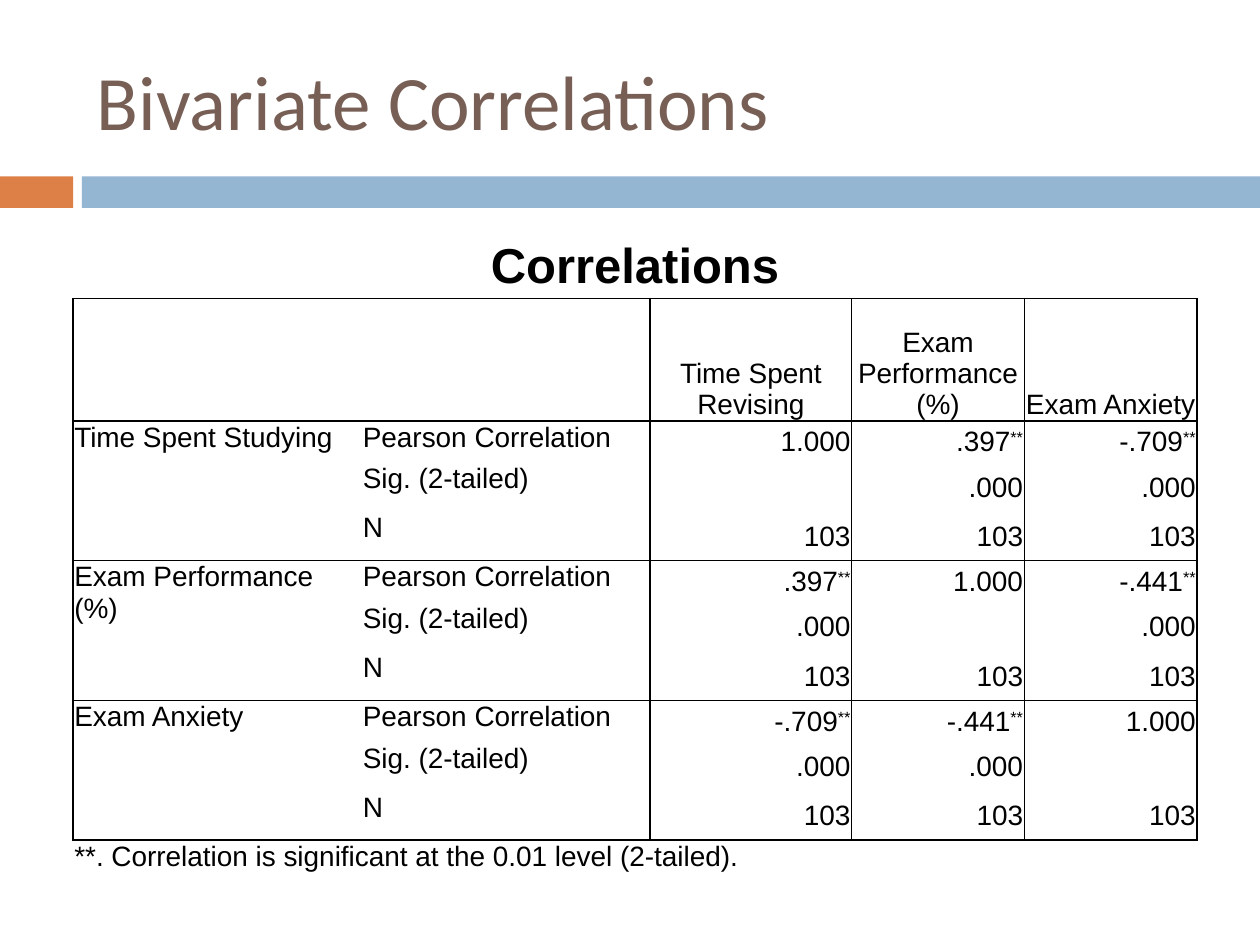
"""Build the Bivariate Correlations slide with its correlation table."""
from lxml import etree
from pptx import Presentation
from pptx import util as u
from pptx.dml import color
from pptx.enum import shapes, text
from pptx.oxml import ns

TITLE = "Bivariate Correlations"
CAPTION = "Correlations"
HEADINGS = ["Time Spent Revising", "Exam Performance (%)", "Exam Anxiety"]
STATISTICS = ["Pearson Correlation", "Sig. (2-tailed)", "N"]
VARIABLES = [
    ("Time Spent Studying", ["1.000", ".397**", "-.709**"]),
    ("Exam Performance (%)", [".397**", "1.000", "-.441**"]),
    ("Exam Anxiety", ["-.709**", "-.441**", "1.000"]),
]
SIGNIFICANCE, SAMPLE = ".000", "103"
FOOTNOTE = "**. Correlation is significant at the 0.01 level (2-tailed)."

COLORS = {"title": "775F55", "accent": "DD8047", "band": "94B6D2",
          "ink": "000000", "paper": "FFFFFF"}
BANDS = [("accent", 0, 0.58), ("band", 0.65, 9.35)]
BAND_TOP, BAND_HEIGHT = 1.4, 0.25
TITLE_BOX = (0.67, 0.25, 8.92, 1.08)
TABLE_LEFT, TABLE_TOP = 0.58, 1.85
COLUMNS = [2.29, 2.29, 1.6, 1.37, 1.37]
GROUP_ROWS = [0.33, 0.39, 0.39]
ROWS = [0.52, 0.97] + GROUP_ROWS * len(VARIABLES) + [0.41]
FIRST_GROUP, FOOT = 2, len(ROWS) - 1
COLUMN_RULES = {0: 1, 2: 1, 3: 0.5, 4: 0.5, 5: 1}
ROW_RULES = {1: 1, 2: 1, 5: 0.5, 8: 0.5, FOOT: 1}

LEFT, CENTER, RIGHT = text.PP_ALIGN.LEFT, text.PP_ALIGN.CENTER, text.PP_ALIGN.RIGHT
TOP, MIDDLE, BOTTOM = text.MSO_ANCHOR.TOP, text.MSO_ANCHOR.MIDDLE, text.MSO_ANCHOR.BOTTOM
CELL_FORMAT = {"margin_left": u.Inches(0.01), "margin_right": u.Inches(0.01),
               "margin_top": u.Inches(0.01), "margin_bottom": 0}
BODY_FONT = {"name": "Arial", "size": u.Pt(16), "bold": False}
CAPTION_FONT = {"name": "Arial", "size": u.Pt(28), "bold": True}
TITLE_FONT = {"name": "Calibri", "size": u.Pt(44)}


def rgb(key):
    return color.RGBColor.from_string(COLORS[key])


def apply(target, values):
    for name, value in values.items():
        setattr(target, name, value)


def add_run(paragraph, words, font, ink="ink"):
    run = paragraph.add_run()
    run.text = words
    apply(run.font, font)
    run.font.color.rgb = rgb(ink)
    return run


def write(cell, words, align=LEFT, anchor=TOP, font=BODY_FONT):
    cell.vertical_anchor = anchor
    paragraph = cell.text_frame.paragraphs[0]
    paragraph.alignment = align
    stars = "**" if words.endswith("**") else ""
    if words:
        add_run(paragraph, words.removesuffix("**"), font)
    if stars:
        raised = add_run(paragraph, stars, font)
        raised.font._element.set("baseline", "30000")


def add_border(cell, side, width):
    line = etree.SubElement(cell._tc.get_or_add_tcPr(), ns.qn(f"a:ln{side}"))
    if not width:
        etree.SubElement(line, ns.qn("a:noFill"))
        return
    line.set("w", str(u.Pt(width)))
    fill = etree.SubElement(line, ns.qn("a:solidFill"))
    etree.SubElement(fill, ns.qn("a:srgbClr"), val=COLORS["ink"])


def style_cell(cell, row, column):
    bottom = row + (cell.span_height if cell.is_merge_origin else 1)
    right = column + (cell.span_width if cell.is_merge_origin else 1)
    inside = 0 < row < FOOT
    add_border(cell, "L", COLUMN_RULES.get(column) if inside else None)
    add_border(cell, "R", COLUMN_RULES.get(right) if inside else None)
    add_border(cell, "T", ROW_RULES.get(row))
    add_border(cell, "B", ROW_RULES.get(bottom))
    cell.fill.solid()
    cell.fill.fore_color.rgb = rgb("paper")
    apply(cell, CELL_FORMAT)


def add_correlations(slide):
    frame = slide.shapes.add_table(
        len(ROWS), len(COLUMNS), u.Inches(TABLE_LEFT), u.Inches(TABLE_TOP),
        u.Inches(sum(COLUMNS)), u.Inches(sum(ROWS)))
    table = frame.table
    apply(table, {"first_row": False, "horz_banding": False})
    for column, width in zip(table.columns, COLUMNS):
        column.width = u.Inches(width)
    for row, height in zip(table.rows, ROWS):
        row.height = u.Inches(height)

    table.cell(0, 0).merge(table.cell(0, len(COLUMNS) - 1))
    table.cell(FOOT, 0).merge(table.cell(FOOT, 2))
    for group in range(len(VARIABLES)):
        start = FIRST_GROUP + group * len(STATISTICS)
        table.cell(start, 0).merge(table.cell(start + len(STATISTICS) - 1, 0))
    for row in range(len(ROWS)):
        for column in range(len(COLUMNS)):
            style_cell(table.cell(row, column), row, column)

    write(table.cell(0, 0), CAPTION, CENTER, MIDDLE, CAPTION_FONT)
    for column, heading in enumerate(HEADINGS, 2):
        write(table.cell(1, column), heading, CENTER, BOTTOM)
    for group, (variable, coefficients) in enumerate(VARIABLES):
        start = FIRST_GROUP + group * len(STATISTICS)
        write(table.cell(start, 0), variable)
        for offset, statistic in enumerate(STATISTICS):
            write(table.cell(start + offset, 1), statistic)
        for index, coefficient in enumerate(coefficients):
            significance = "" if index == group else SIGNIFICANCE
            for offset, value in enumerate((coefficient, significance, SAMPLE)):
                write(table.cell(start + offset, index + 2), value, RIGHT, MIDDLE)
    write(table.cell(FOOT, 0), FOOTNOTE)


def main():
    deck = Presentation()
    apply(deck, {"slide_width": u.Inches(10), "slide_height": u.Inches(7.5)})
    slide = deck.slides.add_slide(deck.slide_layouts[6])
    for key, left, width in BANDS:
        band = slide.shapes.add_shape(
            shapes.MSO_SHAPE.RECTANGLE, u.Inches(left), u.Inches(BAND_TOP),
            u.Inches(width), u.Inches(BAND_HEIGHT))
        band.shadow.inherit = False
        band.fill.solid()
        band.fill.fore_color.rgb = rgb(key)
        band.line.fill.background()
    title = slide.shapes.add_textbox(*map(u.Inches, TITLE_BOX)).text_frame
    apply(title, {"word_wrap": True, "vertical_anchor": MIDDLE})
    add_run(title.paragraphs[0], TITLE, TITLE_FONT, "title")
    add_correlations(slide)
    deck.save("out.pptx")


if __name__ == "__main__":
    main()
